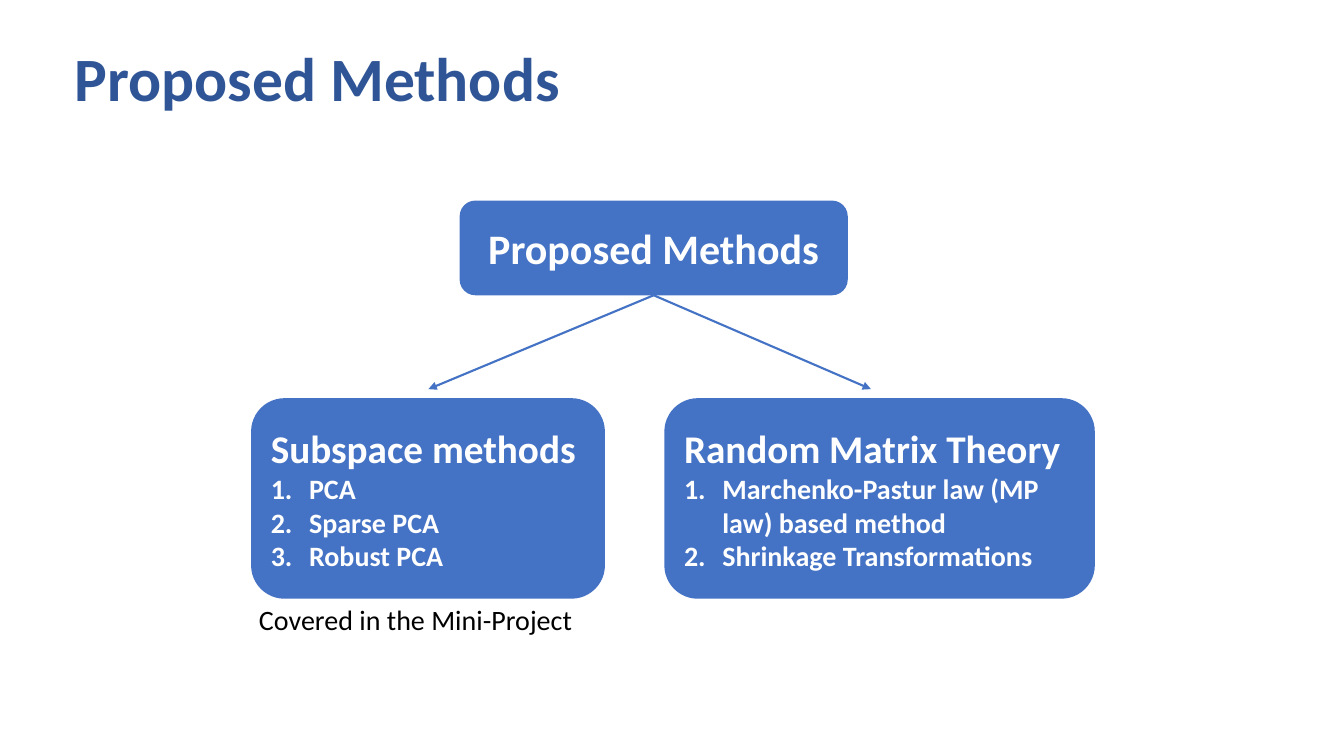
from dataclasses import dataclass

from lxml import etree
from pptx import Presentation
from pptx import util as u
from pptx.dml.color import RGBColor
from pptx.enum import shapes, text
from pptx.oxml import ns


@dataclass(frozen=True)
class Theme:
    font: str = "Calibri"
    heading: str = "2F5597"
    accent: str = "4472C4"
    light: str = "FFFFFF"
    dark: str = "000000"
    title_size: int = 44
    root_size: int = 30
    branch_size: int = 28
    body_size: int = 20
    line_width: float = 1.5
    indent: float = 0.38


THEME = Theme()
WIDTH, HEIGHT = u.Inches(13.33), u.Inches(7.5)
BRANCH_TOP, BRANCH_HEIGHT = 52.67, 26.53
ARROW_END = 51.47


def across(percent):
    return round(WIDTH * percent / 100)


def down(percent):
    return round(HEIGHT * percent / 100)


def place(left, top, width, height):
    return across(left), down(top), across(width), down(height)


def style(paragraph, size, color, bold=True, align=text.PP_ALIGN.LEFT):
    paragraph.alignment = align
    font = paragraph.font
    font.name, font.size, font.bold = THEME.font, u.Pt(size), bold
    font.color.rgb = RGBColor.from_string(color)


def number(paragraph):
    properties = paragraph._p.get_or_add_pPr()
    indent = u.Inches(THEME.indent)
    properties.set("marL", str(indent))
    properties.set("indent", str(-indent))
    etree.SubElement(properties, ns.qn("a:buFont"), typeface="+mj-lt")
    etree.SubElement(properties, ns.qn("a:buAutoNum"), type="arabicPeriod")


def set_title(slide, wording):
    title = slide.shapes.title
    title.left, title.top, title.width, title.height = place(4.8, 1.07, 86.25, 19.33)
    frame = title.text_frame
    frame.text = wording
    frame.word_wrap = True
    frame.auto_size = text.MSO_AUTO_SIZE.NONE
    frame.vertical_anchor = text.MSO_ANCHOR.MIDDLE
    paragraph = frame.paragraphs[0]
    paragraph.line_spacing = 0.9
    style(paragraph, THEME.title_size, THEME.heading)


def add_box(slide, area, heading, size, align=text.PP_ALIGN.LEFT, items=()):
    box = slide.shapes.add_shape(shapes.MSO_SHAPE.ROUNDED_RECTANGLE, *place(*area))
    box.shadow.inherit = False
    box.fill.solid()
    box.fill.fore_color.rgb = RGBColor.from_string(THEME.accent)
    box.line.fill.background()
    frame = box.text_frame
    frame.word_wrap = True
    frame.vertical_anchor = text.MSO_ANCHOR.MIDDLE
    frame.text = heading
    style(frame.paragraphs[0], size, THEME.light, align=align)
    for item in items:
        paragraph = frame.add_paragraph()
        paragraph.text = item
        number(paragraph)
        style(paragraph, THEME.body_size, THEME.light)
    return box


def add_arrow(slide, root, end):
    arrow = slide.shapes.add_connector(
        shapes.MSO_CONNECTOR.STRAIGHT,
        root.left + root.width // 2, root.top + root.height,
        across(end), down(ARROW_END))
    arrow.begin_connect(root, 2)
    arrow.line.color.rgb = RGBColor.from_string(THEME.accent)
    arrow.line.width = u.Pt(THEME.line_width)
    etree.SubElement(arrow.line._get_or_add_ln(), ns.qn("a:tailEnd"), type="triangle")
    etree.SubElement(arrow._element.spPr, ns.qn("a:effectLst"))


def add_caption(slide, area, wording):
    frame = slide.shapes.add_textbox(*place(*area)).text_frame
    frame.word_wrap = True
    frame.auto_size = text.MSO_AUTO_SIZE.SHAPE_TO_FIT_TEXT
    frame.text = wording
    style(frame.paragraphs[0], THEME.body_size, THEME.dark, bold=False)


def main():
    presentation = Presentation()
    presentation.slide_width, presentation.slide_height = WIDTH, HEIGHT
    slide = presentation.slides.add_slide(presentation.slide_layouts[5])

    set_title(slide, "Proposed Methods")
    root = add_box(slide, (34.2, 26.53, 28.88, 12.53), "Proposed Methods",
                   THEME.root_size, text.PP_ALIGN.CENTER)
    branches = [
        (18.68, 26.33, 31.88, "Subspace methods",
         ["PCA", "Sparse PCA", "Robust PCA"]),
        (49.43, 32.03, 64.8, "Random Matrix Theory",
         ["Marchenko-Pastur law (MP law) based method",
          "Shrinkage Transformations"]),
    ]
    for left, width, arrow_end, heading, items in branches:
        add_box(slide, (left, BRANCH_TOP, width, BRANCH_HEIGHT), heading,
                THEME.branch_size, items=items)
        add_arrow(slide, root, arrow_end)
    add_caption(slide, (18.53, 79.07, 26.33, 5.87), "Covered in the Mini-Project")

    presentation.save("out.pptx")


if __name__ == "__main__":
    main()
